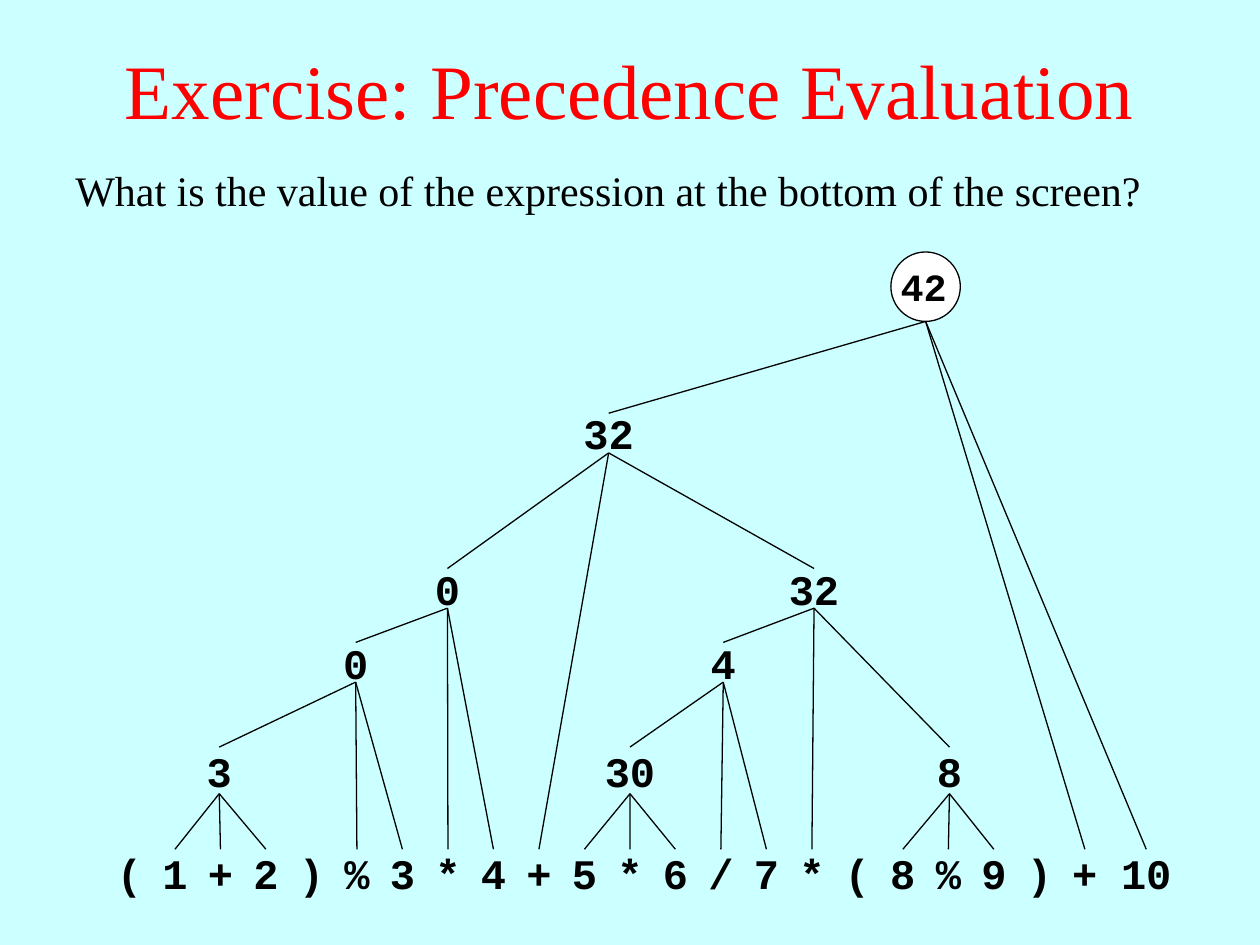
from pptx import Presentation
from pptx import util as u
from pptx.dml.color import RGBColor
from pptx.enum import shapes, text
from pptx.oxml.ns import qn
from lxml import etree

PAPER = RGBColor(0xCC, 0xFF, 0xFF)
RED = RGBColor(0xFF, 0x00, 0x00)
BLACK = RGBColor(0x00, 0x00, 0x00)
WHITE = RGBColor(0xFF, 0xFF, 0xFF)

SERIF = {"name": "Times New Roman", "bold": False}
MONO = {"name": "Courier New", "bold": True, "size": u.Pt(24)}

# Expression row, in centimetres
EXPRESSION = "( 1 + 2 ) % 3 * 4 + 5 * 6 / 7 * ( 8 % 9 ) + 10".split()
FIRST_CENTER, PITCH = 2.61, 19.26 / 21
LAST_SHIFT = 0.32  # the two-digit operand needs more room
ROW_TOP = 17.12
TOKEN_WIDTH, TOKEN_HEIGHT = 0.86, 0.94

# Intermediate results: key, value, centre, top, height, operands
# (an operand is a position in the expression or the key of a result)
RESULTS = [
    ("sum", "3", 4.42, 15.06, 0.94, (1, 2, 3)),
    ("remainder", "0", 7.17, 12.95, 0.8, ("sum", 5, 6)),
    ("left term", "0", 9.02, 11.46, 0.8, ("remainder", 7, 8)),
    ("product", "30", 12.7, 15.06, 0.94, (10, 11, 12)),
    ("quotient", "4", 14.58, 12.95, 0.8, ("product", 13, 14)),
    ("inner remainder", "8", 19.14, 15.06, 0.94, (17, 18, 19)),
    ("right term", "32", 16.41, 11.46, 0.8, ("quotient", 15, "inner remainder")),
    ("total", "32", 12.27, 8.33, 0.8, ("left term", 9, "right term")),
]
ANSWER_CENTER, ANSWER_TOP, ANSWER_SIZE = 18.66, 5.08, 1.4
ANSWER_OPERANDS = ("total", 21, 22)


def set_attributes(target, values):
    for name, value in values.items():
        setattr(target, name, value)


def write(shape, words, color, font, frame=None, paragraph=None):
    set_attributes(shape.text_frame, frame or {})
    line = shape.text_frame.paragraphs[0]
    set_attributes(line, paragraph or {"alignment": text.PP_ALIGN.CENTER})
    run = line.add_run()
    run.text = words
    set_attributes(run.font, font)
    run.font.color.rgb = color


def add_text(parent, box, words, color, font, frame, paragraph=None):
    label = parent.add_textbox(*map(u.Cm, box))
    write(label, words, color, font, {"word_wrap": True, **frame}, paragraph)


def add_token(parent, words, center, top, height):
    token = parent.add_shape(
        shapes.MSO_SHAPE.RECTANGLE, u.Cm(center - TOKEN_WIDTH / 2), u.Cm(top),
        u.Cm(TOKEN_WIDTH), u.Cm(height))
    token.shadow.inherit = False
    token.fill.solid()
    token.fill.fore_color.rgb = PAPER
    token.line.fill.background()
    write(token, words, BLACK, MONO,
          {"word_wrap": False, "vertical_anchor": text.MSO_ANCHOR.MIDDLE})


def add_branches(parent, start, ends):
    for end in ends:
        branch = parent.add_connector(
            shapes.MSO_CONNECTOR.STRAIGHT, *map(u.Cm, (*start, *end)))
        branch.line.color.rgb = BLACK
        branch.line.width = u.Pt(0.75)
        etree.SubElement(branch._element.spPr, qn("a:effectLst"))


def add_answer(parent):
    circle = parent.add_shape(
        shapes.MSO_SHAPE.OVAL, u.Cm(ANSWER_CENTER - ANSWER_SIZE / 2),
        u.Cm(ANSWER_TOP), u.Cm(ANSWER_SIZE), u.Cm(ANSWER_SIZE))
    circle.shadow.inherit = False
    circle.fill.solid()
    circle.fill.fore_color.rgb = WHITE
    circle.line.color.rgb = BLACK
    circle.line.width = u.Pt(0.75)
    add_text(parent, (17.88, 5.18, 1.48, 1.2), "42", BLACK,
             {**MONO, "size": u.Pt(22)}, {})


def main():
    deck = Presentation()
    deck.slide_width, deck.slide_height = u.Cm(25.4), u.Cm(19.05)
    slide = deck.slides.add_slide(deck.slide_layouts[6])
    slide.background.fill.solid()
    slide.background.fill.fore_color.rgb = PAPER

    # Title and question
    add_text(slide.shapes, (0, 0.2, 25.4, 3.18), "Exercise: Precedence Evaluation",
             RED, {**SERIF, "size": u.Pt(44)},
             {"vertical_anchor": text.MSO_ANCHOR.MIDDLE})
    add_text(slide.shapes, (1.27, 3.3, 22.86, 1.17),
             "What is the value of the expression at the bottom of the screen?",
             BLACK, {**SERIF, "size": u.Pt(24)},
             {"auto_size": text.MSO_AUTO_SIZE.SHAPE_TO_FIT_TEXT},
             {"alignment": text.PP_ALIGN.JUSTIFY, "line_spacing": 0.9})

    # Expression row; tops holds the point where a branch arrives
    tops = {}
    for position, token in enumerate(EXPRESSION):
        center = FIRST_CENTER + position * PITCH
        if position == len(EXPRESSION) - 1:
            center += LAST_SHIFT
        add_token(slide.shapes, token, center, ROW_TOP, TOKEN_HEIGHT)
        tops[position] = (center, ROW_TOP)

    # Evaluation tree, from the operands up
    for key, value, center, top, height, operands in RESULTS:
        subtree = slide.shapes.add_group_shape().shapes
        add_token(subtree, value, center, top, height)
        add_branches(subtree, (center, top + height), [tops[o] for o in operands])
        tops[key] = (center, top)

    # Final answer
    root = slide.shapes.add_group_shape().shapes
    add_branches(root, (ANSWER_CENTER, ANSWER_TOP + ANSWER_SIZE),
                 [tops[o] for o in ANSWER_OPERANDS])
    add_answer(root)

    deck.save("out.pptx")


if __name__ == "__main__":
    main()
